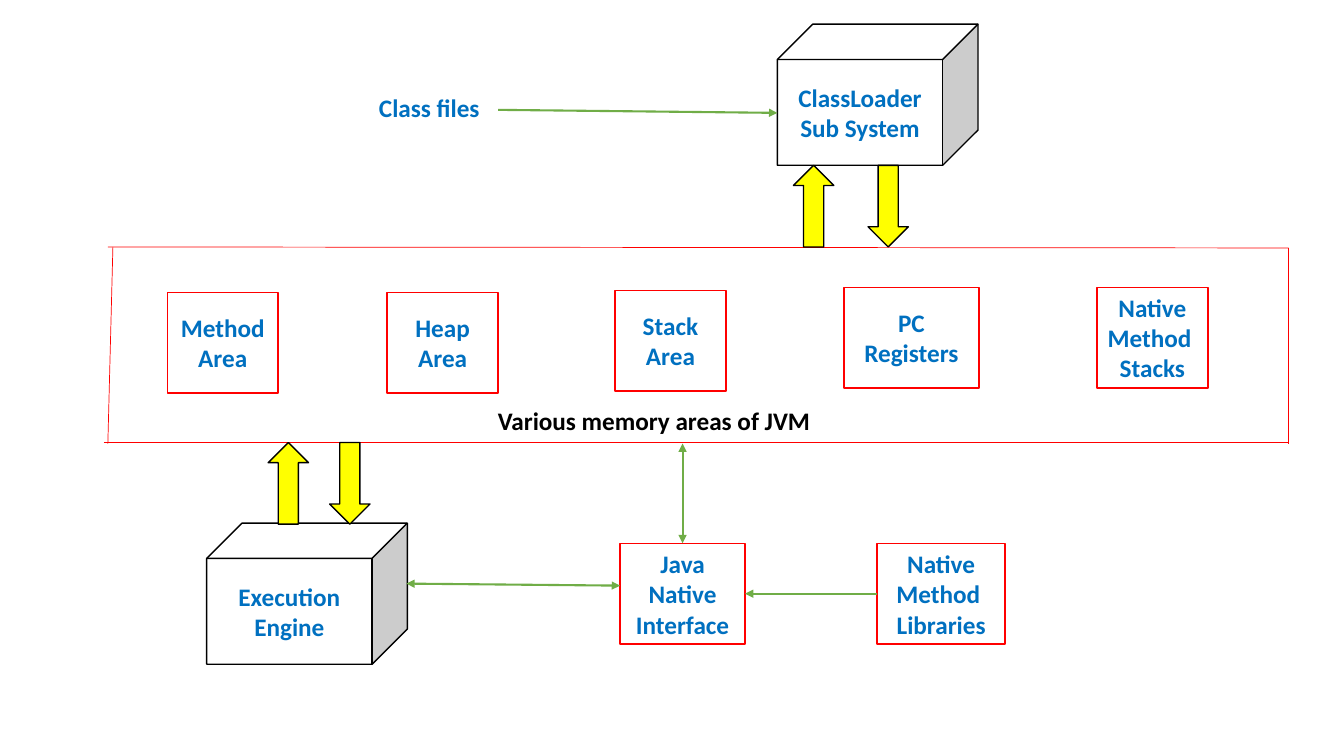
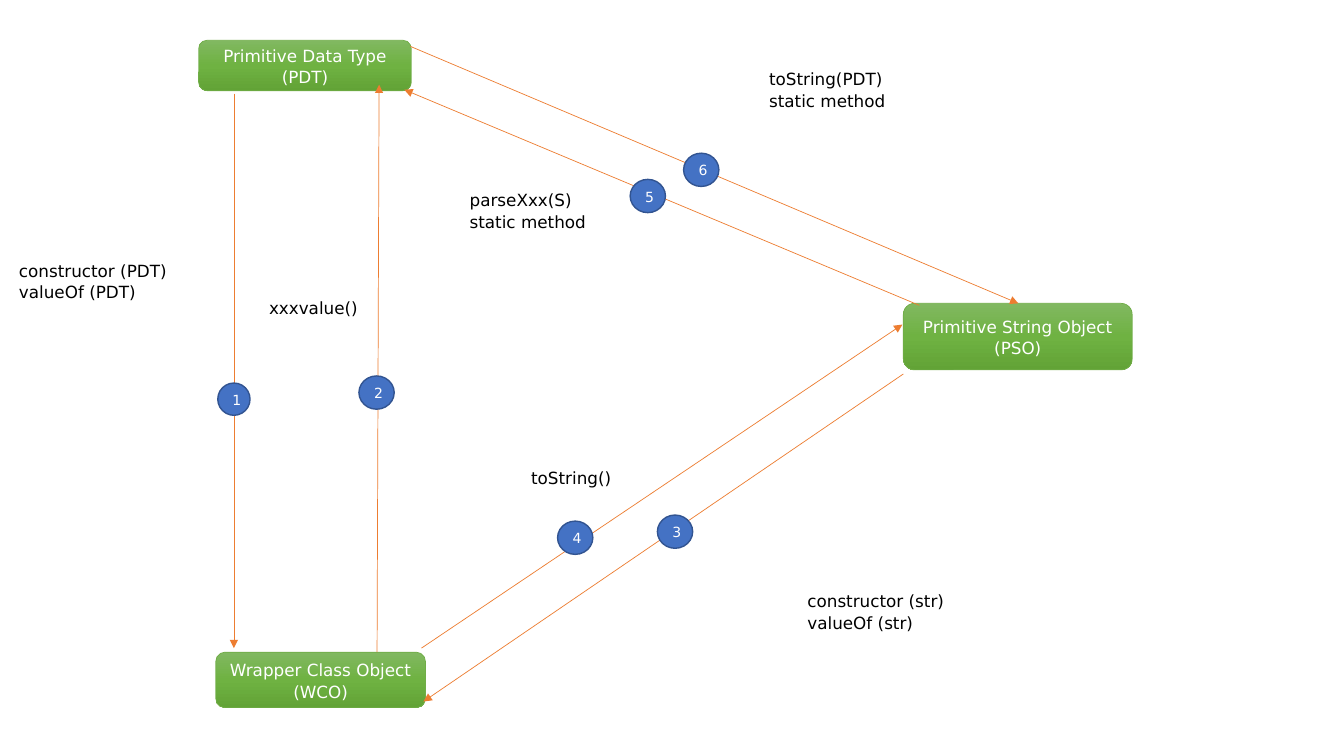
from copy import deepcopy
from pptx import Presentation
from pptx.dml.color import RGBColor
from pptx.enum.shapes import MSO_CONNECTOR, MSO_SHAPE as SHAPE
from pptx.enum.text import MSO_ANCHOR as ANCHOR, PP_ALIGN as ALIGN
from pptx.oxml.ns import qn
from pptx.oxml.xmlchemy import OxmlElement
from pptx.util import Inches, Pt

WHITE = RGBColor(0xFF, 0xFF, 0xFF)
BLACK = RGBColor(0, 0, 0)
RED = RGBColor(0xFF, 0, 0)
YELLOW = RGBColor(0xFF, 0xFF, 0)
TEXT_BLUE = RGBColor(0, 0x70, 0xC0)
GREEN = RGBColor(0x70, 0xAD, 0x47)
ORANGE = RGBColor(0xED, 0x7D, 0x31)
BADGE = RGBColor(0x44, 0x72, 0xC4)
BADGE_EDGE = RGBColor(0x32, 0x54, 0x91)
NODE_STOPS = ((0, RGBColor(0x81, 0xB8, 0x61)),
              (0.5, RGBColor(0x6F, 0xB2, 0x42)),
              (1, RGBColor(0x62, 0xA3, 0x36)))

CELL = 0.1  # grid step in inches: about 133 columns by 75 rows


def grid(*cells):
    return [Inches(n * CELL) for n in cells]


class Deck:
    """Draws diagram parts on the current slide; lengths are grid cells."""

    def __init__(self):
        self.prs = Presentation()
        self.prs.slide_width, self.prs.slide_height = Inches(13.33), Inches(7.5)

    def new_slide(self):
        self.s = self.prs.slides.add_slide(self.prs.slide_layouts[6])

    def set_text(self, tf, text, font, size, color, bold=False,
                 align=ALIGN.CENTER, spacing=None, after=None):
        for i, line in enumerate(text.split("\n")):
            p = tf.paragraphs[0] if i == 0 else tf.add_paragraph()
            p.add_run().text = line
            p.alignment, p.line_spacing = align, spacing
            p.space_after = after
            p.font.name, p.font.size = font, Pt(size)
            p.font.bold, p.font.color.rgb = bold, color

    def bold_text(self, tf, text, color=TEXT_BLUE, align=ALIGN.CENTER):
        self.set_text(tf, text, "Calibri", 18, color, True, align)

    def plain_text(self, tf, text, size=12, color=WHITE, align=ALIGN.CENTER,
                   after=Pt(8)):
        self.set_text(tf, text, "DejaVu Sans", size, color, False, align, 1.07, after)

    def shape(self, kind, at, fill=None, edge=None, width=1):
        sp = self.s.shapes.add_shape(kind, *grid(*at))
        sp.shadow.inherit = False
        if fill is not None:
            sp.fill.solid()
            sp.fill.fore_color.rgb = fill
        if edge is None:
            sp.line.fill.background()
        else:
            sp.line.color.rgb, sp.line.width = edge, Pt(width)
        sp.text_frame.word_wrap = True
        sp.text_frame.vertical_anchor = ANCHOR.MIDDLE
        return sp

    def box(self, at, text):
        self.bold_text(self.shape(SHAPE.RECTANGLE, at, WHITE, RED).text_frame, text)

    def cube(self, x, y, text):
        sp = self.shape(SHAPE.CUBE, (x, y, 19.9, 14), WHITE, BLACK)
        self.bold_text(sp.text_frame, text)

    def block_arrow(self, kind, x, y):
        self.shape(kind, (x, y, 4, 8.1), YELLOW, BLACK)

    def caption(self, at, text, color):
        tf = self.s.shapes.add_textbox(*grid(*at)).text_frame
        tf.word_wrap = False
        self.bold_text(tf, text, color, ALIGN.LEFT)

    def node(self, at, text):
        sp = self.shape(SHAPE.ROUNDED_RECTANGLE, at, edge=GREEN, width=0.5)
        sp.fill.gradient()
        sp.fill.gradient_angle = 270
        stops = next(sp._element.iter(qn("a:gsLst")))
        stops.append(deepcopy(stops[0]))
        for stop, (position, color) in zip(sp.fill.gradient_stops, NODE_STOPS):
            stop.position, stop.color.rgb = position, color
        self.plain_text(sp.text_frame, text)

    def label(self, at, text):
        tf = self.shape(SHAPE.RECTANGLE, at, WHITE).text_frame
        tf.vertical_anchor = ANCHOR.TOP
        self.plain_text(tf, text, color=BLACK, align=ALIGN.LEFT, after=Pt(0))

    def badge(self, at, number):
        sp = self.shape(SHAPE.OVAL, at, BADGE, BADGE_EDGE)
        self.plain_text(sp.text_frame, str(number), size=10)

    def line(self, ends, color, width, arrows=()):
        c = self.s.shapes.add_connector(MSO_CONNECTOR.STRAIGHT, *grid(*ends))
        c.line.color.rgb, c.line.width = color, Pt(width)
        props = c._element.spPr
        for end in arrows:
            tip = OxmlElement(f"a:{end}End")
            tip.set("type", "triangle")
            props.find(qn("a:ln")).append(tip)
        props.append(OxmlElement("a:effectLst"))


deck = Deck()

# Slide 1: JVM architecture
deck.new_slide()
deck.cube(77.1, 2.4, "ClassLoader Sub System")
deck.cube(20.5, 51.9, "Execution Engine")

# Memory areas and the parts below them
for x, y, w, text in (
        (16.6, 29, 11, "Method Area"),
        (38.4, 29, 11, "Heap\nArea"),
        (61, 28.8, 11, "Stack\nArea"),
        (83.7, 28.5, 13.4, "PC\nRegisters"),
        (108.8, 28.5, 11, "Native Method \nStacks"),
        (61.5, 53.9, 12.4, "Java Native Interface"),
        (87, 53.9, 12.7, "Native Method \nLibraries")):
    deck.box((x, y, w, 10), text)

# Frame around the memory areas
for side in ((10.7, 24.5, 127.8, 24.6), (10.3, 43.9, 127.8, 43.9),
             (11.2, 24.5, 10.7, 44), (127.8, 24.6, 127.8, 44)):
    deck.line(side, RED, 0.5)
deck.caption((48.4, 39.7, 33.3, 4), "Various memory areas of JVM", BLACK)
deck.caption((36.6, 8.7, 12.1, 4), "Class files", TEXT_BLUE)

# Flow between the parts
for ends, arrows in (
        ((40.3, 57.9, 61.5, 58.1), ("head", "tail")),
        ((67.7, 44, 67.7, 53.9), ("head", "tail")),
        ((87, 58.9, 73.9, 58.9), ("tail",)),
        ((49.4, 10.9, 77.1, 11.2), ("tail",))):
    deck.line(ends, GREEN, 1.5, arrows)
for up_x, down_x, y in ((78.7, 86.1, 16.4), (26.6, 32.7, 43.9)):
    deck.block_arrow(SHAPE.UP_ARROW, up_x, y)
    deck.block_arrow(SHAPE.DOWN_ARROW, down_x, y)

# Slide 2: conversions between primitives, wrappers and strings
deck.new_slide()
deck.node((19.7, 4, 21.1, 5), "Primitive Data Type (PDT)")
deck.node((21.4, 64.7, 20.8, 5.5), "Wrapper Class Object (WCO)")
deck.node((89.6, 30.1, 22.7, 6.6), "Primitive String Object (PSO)")

# Numbered conversions: arrow ends, then badge place
CONVERSIONS = (
    ((23.2, 9.3, 23.2, 64.3), (21.6, 38, 3.2, 3.2)),
    ((37.4, 64.7, 37.6, 8.4), (35.6, 37.3, 3.5, 3.3)),
    ((89.6, 37.1, 42, 69.6), (65.2, 51.1, 3.5, 3.3)),
    ((41.8, 64.3, 89.5, 32.2), (55.3, 51.7, 3.5, 3.3)),
    ((91.2, 30.3, 40.1, 8.9), (62.5, 17.8, 3.5, 3.3)),
    ((40.7, 4.6, 101, 30.1), (67.8, 15.2, 3.5, 3.3)))
for number, (ends, place) in enumerate(CONVERSIONS, 1):
    deck.line(ends, ORANGE, 0.5, ("tail",))
    deck.badge(place, number)

# Method names beside the arrows
for at, text in (
        ((0.9, 25.2, 20.4, 5.5), "constructor (PDT)\nvalueOf (PDT)"),
        ((25.7, 28.9, 11.3, 3.4), "xxxvalue()"),
        ((79.1, 58, 18.3, 5.6), "constructor (str)\nvalueOf (str)"),
        ((51.7, 45.8, 10.7, 4), "toString()"),
        ((45.6, 18.2, 15, 4.7), "parseXxx(S)\nstatic method"),
        ((75.3, 6.2, 16.6, 6.6), "toString(PDT)\nstatic method")):
    deck.label(at, text)

deck.prs.save("out.pptx")
